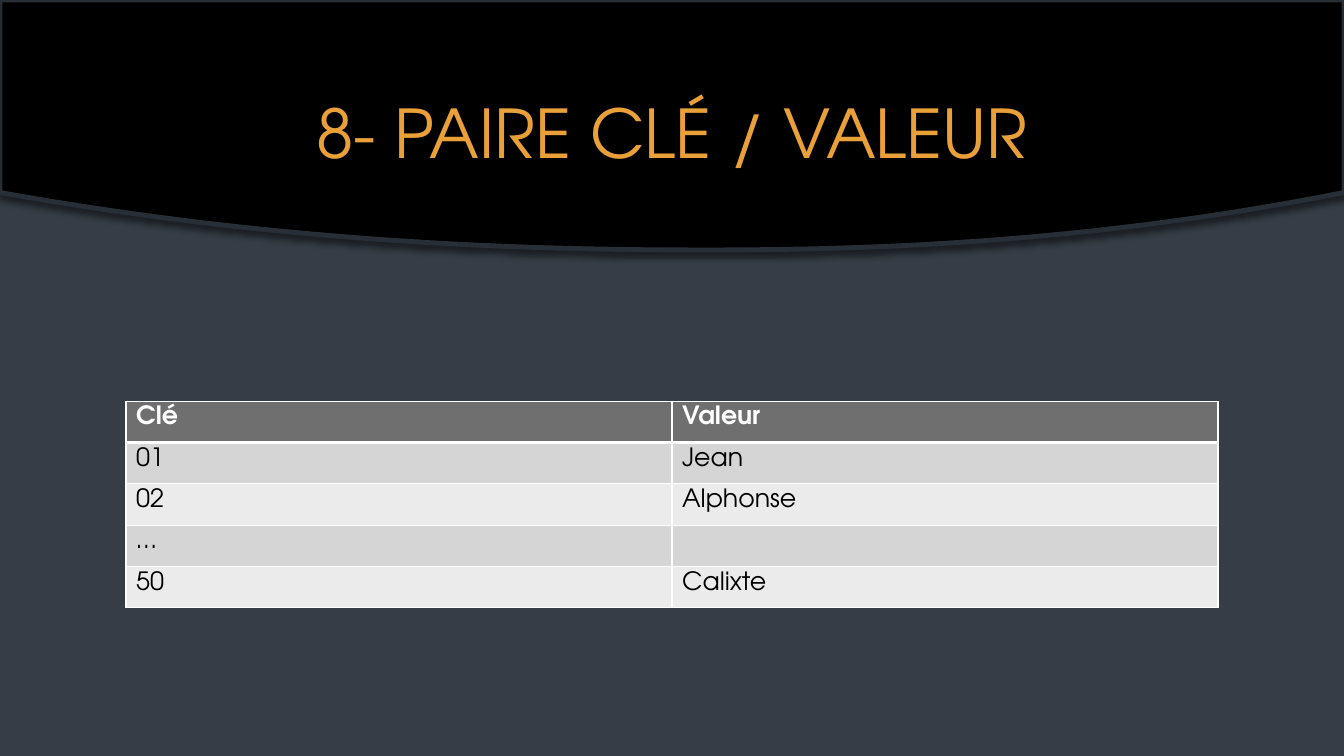
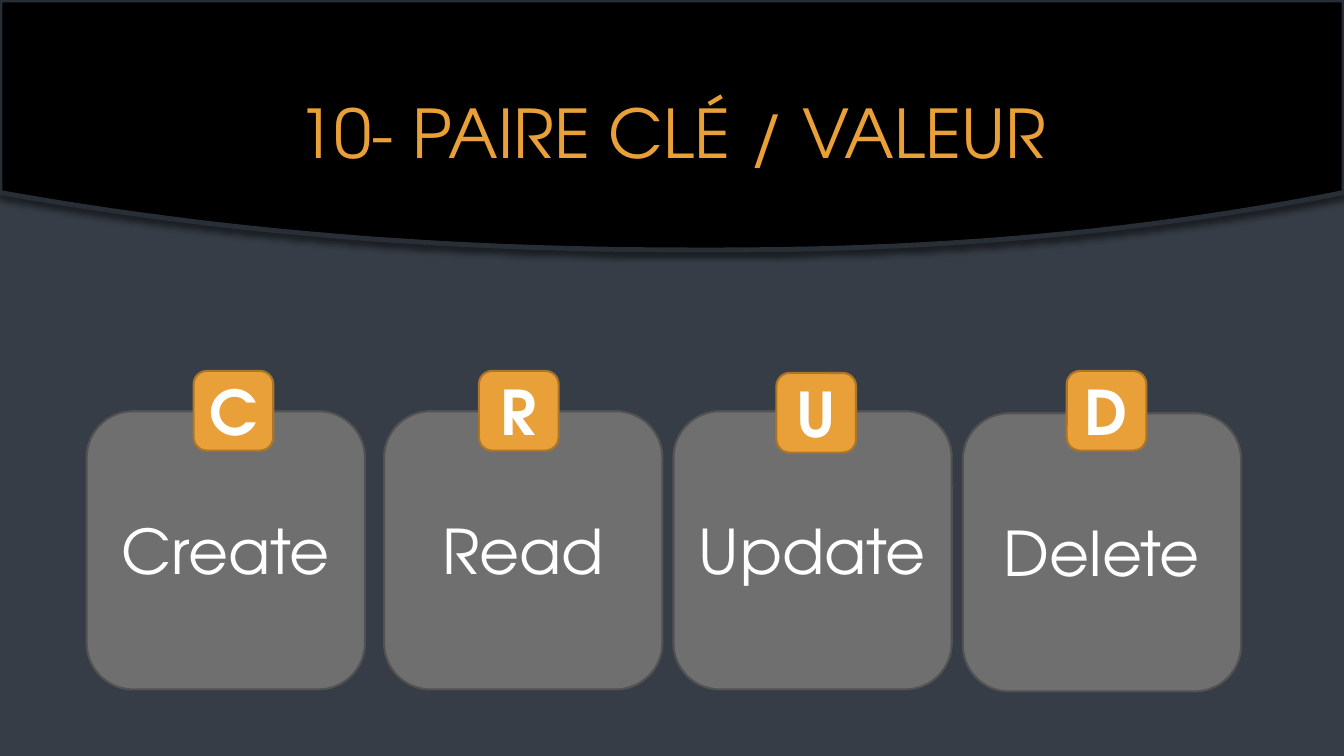
import pptx
import pptx.dml.color
import pptx.enum.shapes
import pptx.enum.text
import pptx.oxml
import pptx.oxml.ns
import pptx.util
from dataclasses import dataclass

EMU_PER_PX = 9144  # 100 px to the inch


@dataclass(frozen=True)
class Theme:
    font: str = "TeX Gyre Adventor"
    background: str = "363D46"
    band: str = "000000"
    band_line: str = "282E35"
    accent: str = "E9A039"
    accent_line: str = "AC762A"
    card: str = "6F6F6F"
    card_line: str = "525252"
    light: str = "FFFFFF"
    dark: str = "000000"
    stripes: tuple = ("D5D5D5", "EBEBEB")
    title_size: int = 48
    card_size: int = 44
    table_size: int = 18
    band_line_width: float = 3.5
    card_line_width: float = 1.5


def px(length):
    return pptx.util.Emu(round(length * EMU_PER_PX))


def rgb(color):
    return pptx.dml.color.RGBColor.from_string(color)


def xml(tag, attributes, content):
    namespace = pptx.oxml.ns.nsdecls("a")
    return pptx.oxml.parse_xml(f"<a:{tag} {namespace} {attributes}>{content}</a:{tag}>")


class Deck:
    WIDTH, HEIGHT = 1333, 750

    def __init__(self, theme):
        self.theme = theme
        self.deck = pptx.Presentation()
        self.deck.slide_width = px(self.WIDTH)
        self.deck.slide_height = px(self.HEIGHT)
        self.page = None

    def add_page(self, title):
        self.page = self.deck.slides.add_slide(self.deck.slide_layouts[6])
        fill = self.page.background.fill
        fill.solid()
        fill.fore_color.rgb = rgb(self.theme.background)
        self.add_band()
        self.add_title(title)

    def set_text(self, frame, text, size, color, bold=False):
        frame.text = text
        for span in frame.paragraphs[0].runs:
            span.font.name = self.theme.font
            span.font.size = pptx.util.Pt(size)
            span.font.bold = bold
            span.font.color.rgb = rgb(color)

    def center(self, frame):
        frame.word_wrap = True
        frame.vertical_anchor = pptx.enum.text.MSO_ANCHOR.MIDDLE
        frame.paragraphs[0].alignment = pptx.enum.text.PP_ALIGN.CENTER

    def paint(self, shape, fill, line, line_width):
        shape.shadow.inherit = False
        shape.fill.solid()
        shape.fill.fore_color.rgb = rgb(fill)
        shape.line.color.rgb = rgb(line)
        shape.line.width = pptx.util.Pt(line_width)

    def add_band(self):
        """Black header whose lower edge is a shallow curve."""
        middle, lowest, rise, power, steps = 700, 248, 57, 2.2, 48
        points = [(self.WIDTH, 0)]
        for step in range(steps, -1, -1):
            x = self.WIDTH * step / steps
            reach = middle if x < middle else self.WIDTH - middle
            points.append((x, lowest - rise * (abs(x - middle) / reach) ** power))
        builder = self.page.shapes.build_freeform(0, 0)
        builder.add_line_segments([(px(x), px(y)) for x, y in points], close=True)
        band = builder.convert_to_shape()
        self.paint(band, self.theme.band, self.theme.band_line, self.theme.band_line_width)
        # Soft shadow straight below the band
        effects = band._element.spPr.find(pptx.oxml.ns.qn("a:effectLst"))
        blur, distance = pptx.util.Pt(4), pptx.util.Pt(3)
        effects.append(xml(
            "outerShdw", f'blurRad="{blur}" dist="{distance}" dir="5400000" rotWithShape="0"',
            '<a:srgbClr val="000000"><a:alpha val="50000"/></a:srgbClr>'))

    def add_title(self, text):
        box = self.page.shapes.add_textbox(px(125), px(67), px(1083), px(128))
        self.set_text(box.text_frame, text, self.theme.title_size, self.theme.accent)
        self.center(box.text_frame)

    def add_tile(self, left, top, size, text, fill, line, bold=False):
        tile = self.page.shapes.add_shape(
            pptx.enum.shapes.MSO_SHAPE.ROUNDED_RECTANGLE, px(left), px(top), px(size), px(size))
        self.paint(tile, fill, line, self.theme.card_line_width)
        frame = tile.text_frame
        frame.margin_left = frame.margin_right = 0
        self.set_text(frame, text, self.theme.card_size, self.theme.light, bold)
        self.center(frame)

    def add_card(self, left, top, word):
        self.add_tile(left, top, 276, word, self.theme.card, self.theme.card_line)

    def add_badge(self, left, top, letter):
        self.add_tile(left, top, 79, letter, self.theme.accent, self.theme.accent_line, bold=True)

    def add_borders(self, cell, widths):
        properties = cell._tc.get_or_add_tcPr()
        color = f'<a:solidFill><a:srgbClr val="{self.theme.light}"/></a:solidFill>'
        for side, width in zip("LRTB", widths):
            properties.append(xml(f"ln{side}", f'w="{pptx.util.Pt(width)}"', color))

    def add_table(self, left, top, width, row_height, rows):
        columns = len(rows[0])
        table = self.page.shapes.add_table(
            len(rows), columns, px(left), px(top), px(width), px(row_height * len(rows))).table
        table.horz_banding = False
        for row_index, row in enumerate(rows):
            header = row_index == 0
            fill = self.theme.card if header else self.theme.stripes[(row_index - 1) % 2]
            color = self.theme.light if header else self.theme.dark
            # The rule between header and body is thicker
            widths = (1, 1, 3 if row_index == 1 else 1, 3 if header else 1)
            for column_index, text in enumerate(row):
                cell = table.cell(row_index, column_index)
                self.add_borders(cell, widths)
                cell.fill.solid()
                cell.fill.fore_color.rgb = rgb(fill)
                self.set_text(cell.text_frame, text, self.theme.table_size, color, bold=header)


def main():
    show = Deck(Theme())

    # Key and value table
    show.add_page("8- PAIRE CLÉ / VALEUR")
    show.add_table(125, 398, 1083, 41, [
        ("Clé", "Valeur"),
        ("01", "Jean"),
        ("02", "Alphonse"),
        ("…", ""),
        ("50", "Calixte"),
    ])

    # Four operations: word, card left and top, badge left and top
    show.add_page("10- PAIRE CLÉ / VALEUR")
    operations = [
        ("Create", 86, 408, 192, 368),
        ("Read", 381, 408, 475, 368),
        ("Update", 668, 408, 770, 370),
        ("Delete", 955, 410, 1058, 368),
    ]
    for word, card_left, card_top, badge_left, badge_top in operations:
        show.add_card(card_left, card_top, word)
        show.add_badge(badge_left, badge_top, word[0])

    show.deck.save("out.pptx")


if __name__ == "__main__":
    main()
